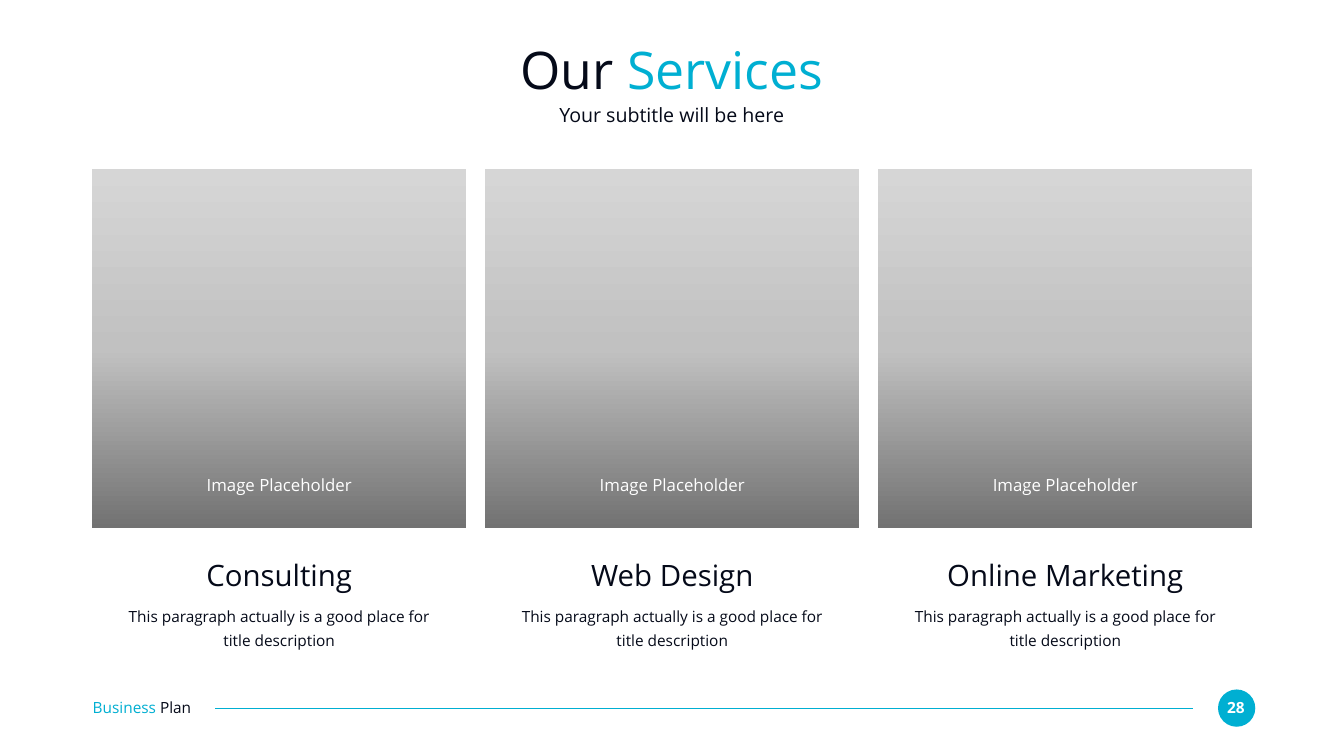
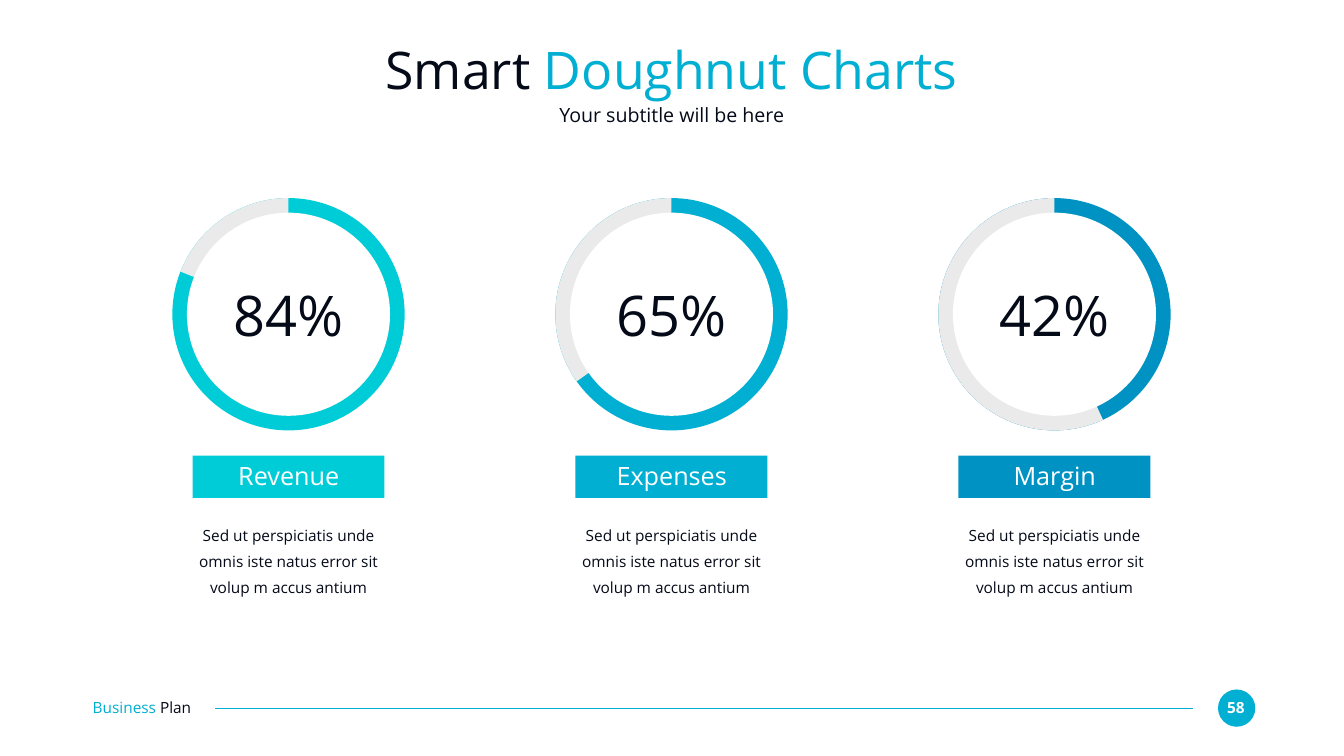
import pptx
import pptx.dml.color
import pptx.enum.shapes
import pptx.enum.text
import pptx.oxml
import pptx.oxml.ns
import pptx.util
from lxml import etree

Inches = pptx.util.Inches
RGBColor = pptx.dml.color.RGBColor
SHAPE = pptx.enum.shapes.MSO_SHAPE
ALIGN = pptx.enum.text.PP_ALIGN
ANCHOR = pptx.enum.text.MSO_ANCHOR
qn = pptx.oxml.ns.qn

FONT = "Open Sans"
INK = RGBColor(0x05, 0x0A, 0x19)
WHITE = RGBColor(0xFF, 0xFF, 0xFF)
TURQUOISE = RGBColor(0x00, 0xCC, 0xD7)
ACCENT = RGBColor(0x00, 0xAF, 0xD2)
BLUE = RGBColor(0x00, 0x92, 0xC3)
TRACK = RGBColor(0xEA, 0xEA, 0xEA)
GRADIENT = [(0, "727272"), (50, "C1C1C1"), (100, "D6D6D6")]

SERVICES = ["Consulting", "Web Design", "Online Marketing"]
SERVICE_TEXT = "This paragraph actually is a good place for title description"
SERVICE_LEFT, SERVICE_PITCH = 1.82, 7.8

# Label, percentage, colour, angle in degrees where the grey track begins
METRICS = [
    ("Revenue", "84%", TURQUOISE, 201.53),
    ("Expenses", "65%", ACCENT, 144.71),
    ("Margin", "42%", BLUE, 65.34),
]
METRIC_TEXT = "Sed ut perspiciatis unde omnis iste natus error sit volup m accus antium"
METRIC_LEFT, METRIC_PITCH = 3.42, 7.6
RING_TOP, RING_SIZE, RING_WIDTH = 3.93, 4.61, 0.29


def place(shape, left, top, width, height):
    shape.left, shape.top = Inches(left), Inches(top)
    shape.width, shape.height = Inches(width), Inches(height)


def write(shape, *parts, size, color=INK, bold=False, align=ALIGN.CENTER,
          anchor=ANCHOR.MIDDLE, spacing=1.0):
    """Fill a shape with one paragraph; a part is a text or a (text, colour) pair."""
    frame = shape.text_frame
    frame.word_wrap = True
    frame.auto_size = pptx.enum.text.MSO_AUTO_SIZE.NONE
    frame.vertical_anchor = anchor
    frame.margin_left = frame.margin_right = 0
    frame.margin_top = frame.margin_bottom = 0
    paragraph = frame.paragraphs[0]
    paragraph.alignment = align
    paragraph.line_spacing = spacing
    paragraph.space_before = pptx.util.Pt(0)
    for part in parts:
        text, part_color = part if isinstance(part, tuple) else (part, color)
        run = paragraph.add_run()
        run.text = text
        run.font.name = FONT
        run.font.size = pptx.util.Pt(size)
        run.font.bold = bold
        run.font.color.rgb = part_color
        run.font._element.set("cap", "none")


def add_text(slide, box, *parts, **text_format):
    textbox = slide.shapes.add_textbox(*map(Inches, box))
    write(textbox, *parts, **text_format)


def add_plain_shape(shapes, kind, box, color=None):
    shape = shapes.add_shape(kind, *map(Inches, box))
    shape.shadow.inherit = False
    shape.line.fill.background()
    if color is not None:
        shape.fill.solid()
        shape.fill.fore_color.rgb = color
    return shape


def add_image_panel(slide, left):
    """Grey gradient panel that holds the place of an image."""
    panel = add_plain_shape(slide.shapes, SHAPE.RECTANGLE, (left, 3.36, 7.43, 7.12))
    panel.fill.gradient()
    panel.fill.gradient_angle = 90
    stops = panel._element.spPr.find(".//" + qn("a:gsLst"))
    for stop in list(stops):
        stops.remove(stop)
    for position, color in GRADIENT:
        stop = etree.SubElement(stops, qn("a:gs"), pos=str(position * 1000))
        etree.SubElement(stop, qn("a:srgbClr"), val=color)
    add_text(slide, (left + 1.27, 9.42, 4.9, 0.4), "Image Placeholder",
             size=24, color=WHITE)


def add_ring(slide, left, color, track_start):
    shapes = slide.shapes.add_group_shape().shapes
    outer = (left, RING_TOP, RING_SIZE, RING_SIZE)
    hole_size = RING_SIZE - 2 * RING_WIDTH
    hole = (left + RING_WIDTH, RING_TOP + RING_WIDTH, hole_size, hole_size)
    add_plain_shape(shapes, SHAPE.OVAL, outer, color)
    track = add_plain_shape(shapes, SHAPE.PIE, outer, TRACK)
    # Adjustments count 100000ths, angles 60000ths of a degree
    track.adjustments[0] = track_start * 0.6
    track.adjustments[1] = 270 * 0.6
    add_plain_shape(shapes, SHAPE.OVAL, hole, WHITE)


def add_footer(slide, number):
    add_plain_shape(slide.shapes, SHAPE.OVAL, (24.17, 13.68, 0.74, 0.74), ACCENT)
    add_text(slide, (24.23, 13.85, 0.59, 0.37), str(number),
             size=22, color=WHITE, bold=True)
    rule = slide.shapes.add_connector(
        pptx.enum.shapes.MSO_CONNECTOR.STRAIGHT,
        Inches(23.67), Inches(14.05), Inches(4.27), Inches(14.05))
    rule.line.color.rgb = ACCENT
    rule.line.width = pptx.util.Pt(1.5)
    etree.SubElement(rule._element.spPr, qn("a:effectLst"))
    add_text(slide, (1.84, 13.84, 2.59, 0.37), ("Business ", ACCENT), "Plan",
             size=22, align=ALIGN.LEFT)


def add_base_slide(presentation, title_start, title_accent, number):
    """Slide with the shared title, subtitle and footer."""
    section_header = presentation.slide_layouts[2]
    slide = presentation.slides.add_slide(section_header)
    title, subtitle = slide.shapes.title, slide.placeholders[1]
    place(title, 1.83, 0.73, 23, 1.27)
    write(title, title_start, (title_accent, ACCENT), size=74)
    place(subtitle, 1.83, 2.03, 23, 0.49)
    write(subtitle, "Your subtitle will be here", size=28)
    add_footer(slide, number)
    return slide


def add_service(slide, left, name):
    add_image_panel(slide, left)
    add_text(slide, (left + 0.63, 11.05, 6.18, 0.71), name, size=42)
    add_text(slide, (left + 0.63, 11.93, 6.18, 0.92), SERVICE_TEXT,
             size=22, spacing=1.3, anchor=ANCHOR.TOP)


def add_metric(slide, left, label, percentage, color, track_start):
    add_ring(slide, left, color, track_start)
    add_text(slide, (left + 1.12, 5.56, 2.38, 1.35), percentage, size=80)
    add_plain_shape(slide.shapes, SHAPE.RECTANGLE, (left + 0.4, 9.04, 3.81, 0.84), color)
    add_text(slide, (left + 0.76, 9.13, 3.1, 0.61), label, size=36, color=WHITE)
    add_text(slide, (left + 0.15, 10.29, 4.31, 1.56), METRIC_TEXT,
             size=22, spacing=1.4, anchor=ANCHOR.TOP)


def main():
    presentation = pptx.Presentation()
    presentation.slide_width = Inches(26.67)
    presentation.slide_height = Inches(15)

    services = add_base_slide(presentation, "Our ", "Services", 28)
    for column, name in enumerate(SERVICES):
        add_service(services, SERVICE_LEFT + column * SERVICE_PITCH, name)

    metrics = add_base_slide(presentation, "Smart ", "Doughnut Charts", 58)
    for column, metric in enumerate(METRICS):
        add_metric(metrics, METRIC_LEFT + column * METRIC_PITCH, *metric)

    presentation.save("out.pptx")


if __name__ == "__main__":
    main()
